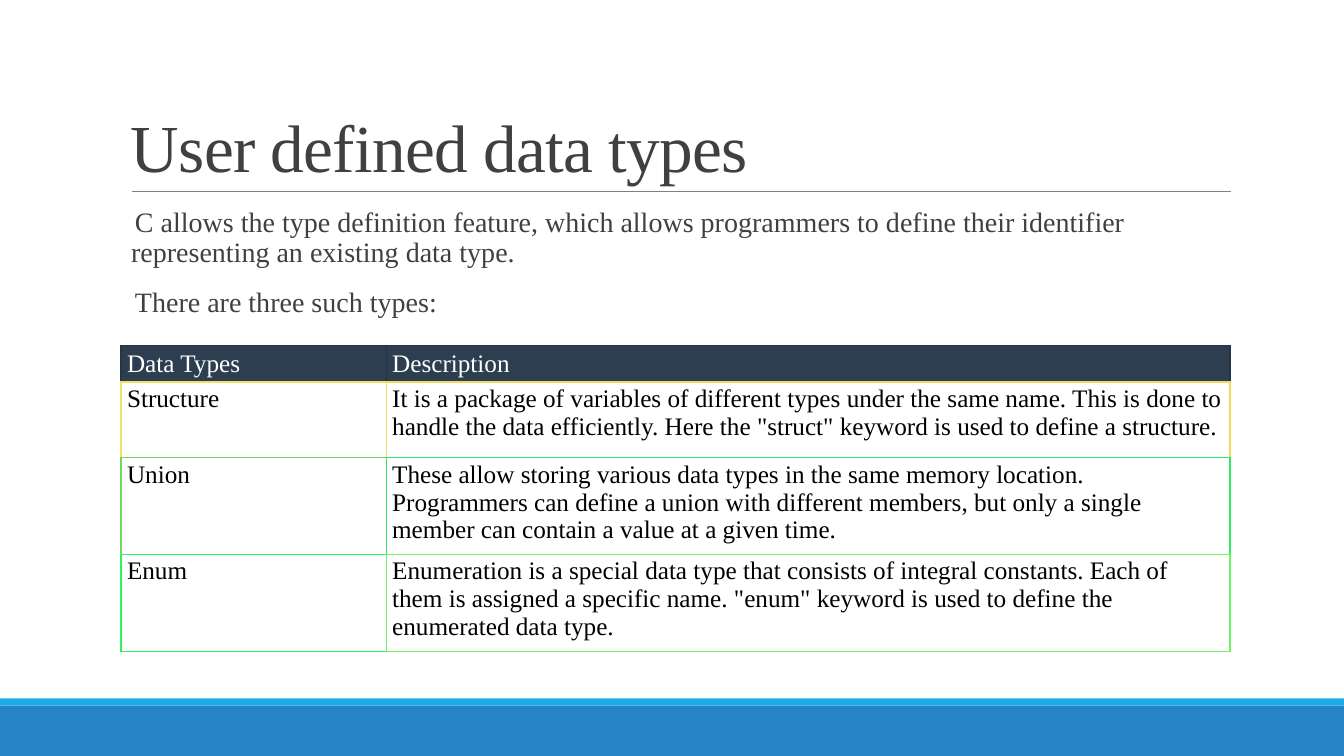
"""Build the slide on user defined data types in C."""
from lxml import etree
from pptx import Presentation
from pptx.dml.color import RGBColor as RGB
from pptx.enum.shapes import MSO_CONNECTOR as CONN, MSO_SHAPE as SHAPE
from pptx.enum.text import MSO_ANCHOR as ANCHOR
from pptx.oxml.ns import qn
from pptx.util import Inches, Pt

COLORS = {
    "band": "2683C6", "stripe": "1CADE4", "rule": "808080", "text": "404040",
    "head": "2C3E50", "edge": "253545", "white": "FFFFFF", "black": "000000",
}
W, H = 13.33, 7.5
LEFT, WIDTH = 1.2, 11
FONT = "Times New Roman"


def style(item, size, color):
    for name, value in {"name": FONT, "size": Pt(size)}.items():
        setattr(item.font, name, value)
    item.font.color.rgb = RGB.from_string(COLORS[color])


def add_text(top, height, lines, size, frame_format, para_format):
    box = s.shapes.add_textbox(Inches(LEFT), Inches(top), Inches(WIDTH), Inches(height))
    tf = box.text_frame
    for name, value in {"word_wrap": True, **frame_format}.items():
        setattr(tf, name, value)
    for i, line in enumerate(lines):
        p = tf.add_paragraph() if i else tf.paragraphs[0]
        for name, value in para_format.items():
            setattr(p, name, value)
        r = p.add_run()
        r.text = line
        style(r, size, "text")
    return tf


prs = Presentation()
prs.slide_width, prs.slide_height = Inches(W), Inches(H)
s = prs.slides.add_slide(prs.slide_layouts[6])

for color, top, height in [("band", 7, 0.5), ("stripe", 6.93, 0.07)]:
    sp = s.shapes.add_shape(SHAPE.RECTANGLE, 0, Inches(top), Inches(W), Inches(height))
    sp.shadow.inherit = False
    sp.fill.solid()
    sp.fill.fore_color.rgb = RGB.from_string(COLORS[color])
    sp.line.fill.background()

rule = s.shapes.add_connector(CONN.STRAIGHT, Inches(1.31), Inches(1.9), Inches(12.21), Inches(1.9))
rule.line.color.rgb = RGB.from_string(COLORS["rule"])
rule.line.width = Pt(0.5)
etree.SubElement(rule._element.spPr, qn("a:effectLst"))

title = add_text(0.31, 1.59, ["User defined data types"], 48,
                 {"vertical_anchor": ANCHOR.BOTTOM}, {"line_spacing": 0.85})
title.paragraphs[0].runs[0].font._element.set("spc", "-50")

body = add_text(2.02, 4.4, [
    "C allows the type definition feature, which allows programmers to define "
    "their identifier representing an existing data type.",
    "There are three such types:",
], 20, {"margin_left": 0, "margin_right": 0},
    {"line_spacing": 0.9, "space_before": Pt(12), "space_after": Pt(2)})
for p in body.paragraphs:
    pPr = p._p.get_or_add_pPr()
    pPr.set("marL", str(Inches(0.1)))
    pPr.set("indent", str(-Inches(0.1)))
    bullet_color = etree.SubElement(pPr, qn("a:buClr"))
    etree.SubElement(bullet_color, qn("a:srgbClr"), val=COLORS["stripe"])
    etree.SubElement(pPr, qn("a:buChar"), char=" ")

rows = [
    ("Data Types", "Description"),
    ("Structure", "It is a package of variables of different types under the same name. "
     "This is done to handle the data efficiently. "
     'Here the "struct" keyword is used to define a structure.'),
    ("Union", "These allow storing various data types in the same memory location. "
     "Programmers can define a union with different members, "
     "but only a single member can contain a value at a given time."),
    ("Enum", "Enumeration is a special data type that consists of integral constants. "
     "Each of them is assigned a specific name. "
     '"enum" keyword is used to define the enumerated data type.'),
]
edges = [
    (COLORS["edge"], COLORS["edge"]),
    ("F0E160", "F0DB60"),
    ("70D860", "30EB60"),
    ("30F160", "70F560"),
]
col_widths, row_heights = [2.63, 8.37], [0.27, 0.75, 0.86, 0.86]
margins = {"margin_left": 0.06, "margin_right": 0.06, "margin_top": 0.03, "margin_bottom": 0.03}

table = s.shapes.add_table(len(rows), 2, Inches(LEFT), Inches(3.43), Inches(WIDTH),
                           Inches(sum(row_heights))).table
for col, width in zip(table.columns, col_widths):
    col.width = Inches(width)
for row, height in zip(table.rows, row_heights):
    row.height = Inches(height)

for i, texts in enumerate(rows):
    for j, text in enumerate(texts):
        cell = table.cell(i, j)
        cell.text = text
        style(cell.text_frame.paragraphs[0].runs[0], 18, "black" if i else "white")
        cell.vertical_anchor = ANCHOR.TOP if i else ANCHOR.MIDDLE
        for name, value in margins.items():
            setattr(cell, name, Inches(value))
        cell.fill.solid()
        cell.fill.fore_color.rgb = RGB.from_string(COLORS["white" if i else "head"])
        own, right = edges[i][j], edges[i][1]
        below = edges[min(i + 1, len(rows) - 1)][j]
        tcPr = cell._tc.get_or_add_tcPr()
        for k, (side, color) in enumerate(zip("LRTB", (own, right, own, below))):
            ln = etree.Element(qn(f"a:ln{side}"), w=str(Pt(1)))
            fill = etree.SubElement(ln, qn("a:solidFill"))
            etree.SubElement(fill, qn("a:srgbClr"), val=color)
            tcPr.insert(k, ln)

prs.save("out.pptx")
